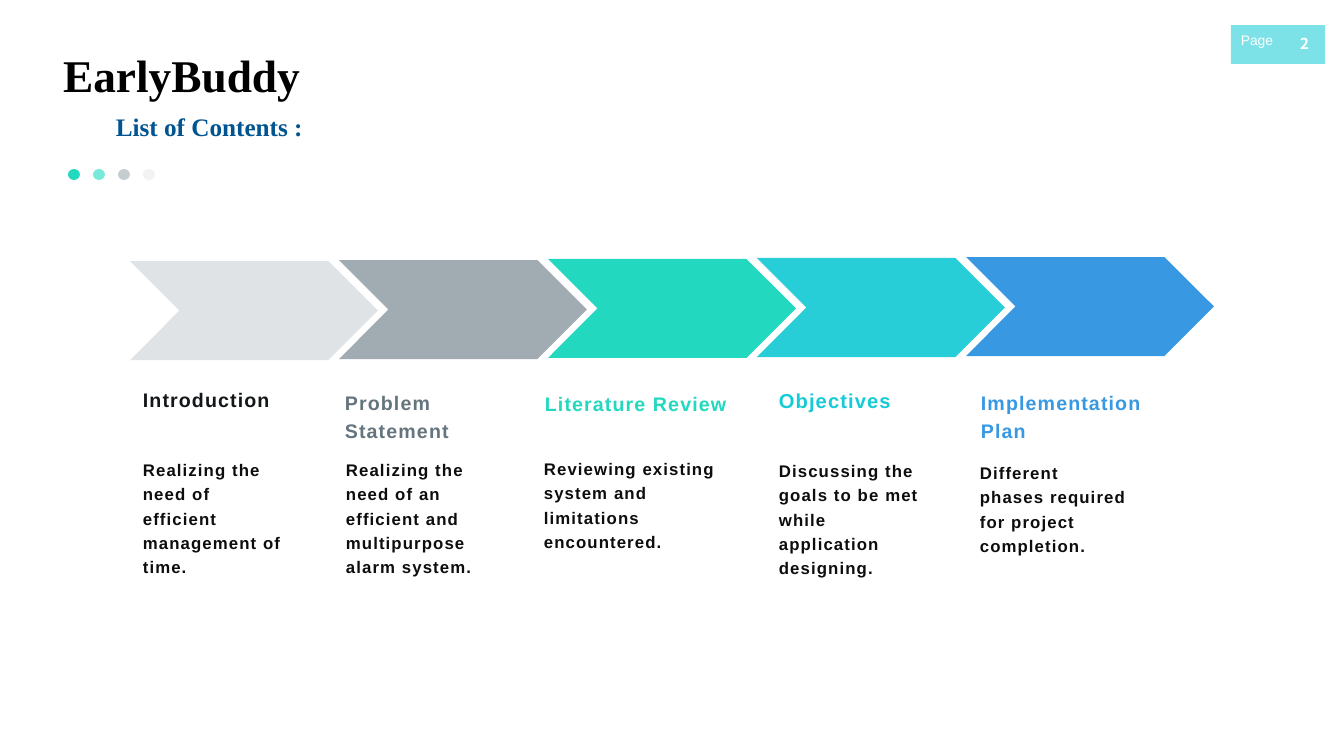
from pptx import Presentation
from pptx import util as u
from pptx.dml import color
from pptx.enum import shapes, text

PX = 914400 / 100.8  # EMU in one px

HUES = {
    "black": "000000", "white": "FFFFFF", "navy": "005490", "body": "0D0D0D",
    "badge": "7DE2E7", "ink": "141719", "slate": "65757D", "teal": "22D8BF",
    "cyan": "15CBD8", "blue": "3898E2", "mint": "78EADA", "mist": "C6CDD1",
    "pale": "F2F2F2", "light": "DFE3E5", "grey": "A1ACB2", "aqua": "27CED7",
}

# Text styles: font values, then spacing values
STYLES = {
    "title": {"font": {"name": "Times New Roman", "size": u.Pt(32.4), "bold": True},
              "para": {"line_spacing": 0.9}},
    "sub": {"font": {"name": "Times New Roman", "size": u.Pt(18), "bold": True},
            "para": {"line_spacing": 0.9}},
    "page": {"font": {"name": "Arial", "size": u.Pt(9.9)}},
    "num": {"font": {"name": "Noto Sans CJK SC", "size": u.Pt(10.8), "bold": True},
            "para": {"alignment": text.PP_ALIGN.CENTER},
            "frame": {"vertical_anchor": text.MSO_ANCHOR.MIDDLE}},
    "head": {"font": {"name": "Arial", "size": u.Pt(14), "bold": True},
             "para": {"line_spacing": 1.2}, "track": 80},
    "goal": {"font": {"name": "Arial", "size": u.Pt(14.4), "bold": True},
             "para": {"line_spacing": 1.1}, "track": 80},
    "note": {"font": {"name": "Arial", "size": u.Pt(12), "bold": True},
             "para": {"line_spacing": 1.2}, "track": 80},
}

# Arrow hue, then heading and note: words, style, hue, box
STAGES = [
    ("light", ("Introduction", "head", "ink", (133, 378, 207, 37)),
     ("Realizing the need of efficient management of time.",
      "note", "body", (133, 451, 167, 203))),
    ("grey", ("Problem Statement", "head", "slate", (335, 381, 200, 37)),
     ("Realizing the need of an efficient and multipurpose alarm system.",
      "note", "body", (336, 451, 163, 203))),
    ("teal", ("Literature Review", "head", "teal", (535, 382, 249, 37)),
     ("Reviewing existing system and limitations encountered.",
      "note", "body", (534, 450, 200, 203))),
    ("aqua", ("Objectives", "goal", "cyan", (769, 381, 200, 37)),
     ("Discussing the goals to be met while application designing.",
      "note", "body", (769, 452, 167, 203))),
    ("blue", ("Implementation Plan", "head", "blue", (971, 381, 200, 65)),
     ("Different phases required for project completion.",
      "note", "body", (970, 454, 167, 198))),
]


def px(n):
    return u.Emu(round(n * PX))


def assign(target, values):
    for key, value in values.items():
        setattr(target, key, value)


class Deck:
    def __init__(self):
        self.prs = Presentation()
        self.prs.slide_width = px(1344)
        self.prs.slide_height = px(756)
        self.slide = self.prs.slides.add_slide(self.prs.slide_layouts[5])

    def hue(self, name):
        return color.RGBColor.from_string(HUES[name])

    def shape(self, kind, hue, box):
        item = self.slide.shapes.add_shape(kind, *map(px, box))
        item.shadow.inherit = False
        item.fill.solid()
        item.fill.fore_color.rgb = self.hue(hue)
        item.line.fill.background()

    def put(self, item, words, style, hue):
        look = STYLES[style]
        frame = item.text_frame
        assign(frame, {"word_wrap": True, "auto_size": text.MSO_AUTO_SIZE.NONE,
                       "vertical_anchor": text.MSO_ANCHOR.TOP,
                       **look.get("frame", {})})
        para = frame.paragraphs[0]
        assign(para, {"alignment": text.PP_ALIGN.LEFT, "space_before": u.Pt(0),
                      **look.get("para", {})})
        run = para.add_run()
        run.text = words
        assign(run.font, look["font"])
        run.font.color.rgb = self.hue(hue)
        if "track" in look:
            run._r.get_or_add_rPr().set("spc", str(look["track"]))

    def title(self, words, style, hue, box):
        item = self.slide.shapes.title
        assign(item, dict(zip(("left", "top", "width", "height"), map(px, box))))
        self.put(item, words, style, hue)

    def label(self, words, style, hue, box):
        item = self.slide.shapes.add_textbox(*map(px, box))
        self.put(item, words, style, hue)


def main():
    deck = Deck()
    kinds = shapes.MSO_SHAPE

    # Page badge
    deck.shape(kinds.RECTANGLE, "badge", (1231, 25, 94, 39))
    deck.label("2", "num", "white", (1265, 23, 79, 40))
    deck.label("Page", "page", "white", (1231, 27, 67, 27))

    # Title, subtitle and dots
    deck.title("EarlyBuddy", "title", "black", (53, 48, 590, 61))
    deck.label("List of Contents :", "sub", "navy", (106, 110, 522, 40))
    for i, hue in enumerate(("teal", "mint", "mist", "pale")):
        deck.shape(kinds.OVAL, hue, (68 + 25 * i, 169, 12, 11))

    # Stages: rising arrows with heading and note
    for i, (hue, head, note) in enumerate(STAGES):
        deck.shape(kinds.CHEVRON, hue, (130 + 209 * i, 261 - i, 248, 99))
        deck.label(*head)
        deck.label(*note)

    deck.prs.save("out.pptx")


if __name__ == "__main__":
    main()
